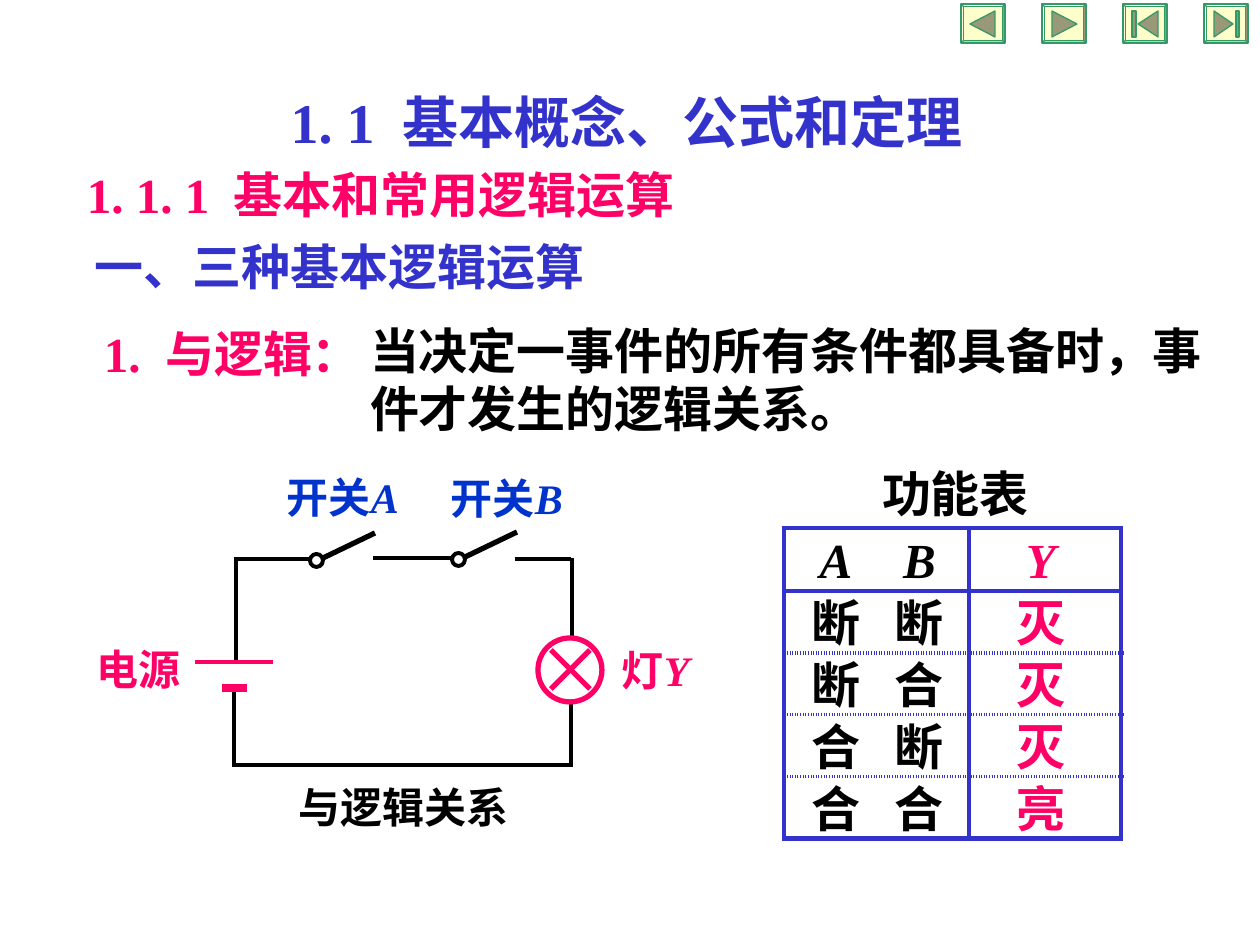
from lxml.etree import SubElement
from pptx import Presentation
from pptx.dml.color import RGBColor
from pptx.enum.shapes import MSO_CONNECTOR, MSO_SHAPE
from pptx.enum.text import MSO_ANCHOR, MSO_AUTO_SIZE, PP_ALIGN
from pptx.oxml.ns import qn
from pptx.util import Emu, Pt

SCALE = 914400 / 126
LATIN, CJK = "Times New Roman", "Noto Sans CJK SC"
BLACK, BLUE, PINK, LABEL = "000000", "3333CC", "FF0066", "0033CC"
CREAM, GREEN, OLIVE = "FFFFCC", "339966", "99997A"


def px(value):
    return Emu(round(value * SCALE))


def rgb(value):
    return RGBColor.from_string(value)


class LogicSlide:
    """Draws the elements of one slide in a shared style."""

    def __init__(self, prs):
        self.s = prs.slides.add_slide(prs.slide_layouts[6])

    def run(self, p, text, size, color, font=LATIN, italic=False):
        r = p.add_run()
        r.text = text
        for name, value in dict(size=Pt(size), bold=True, italic=italic, name=font).items():
            setattr(r.font, name, value)
        r.font.color.rgb = rgb(color)
        rpr = r._r.get_or_add_rPr()
        SubElement(rpr, qn("a:ea")).set("typeface", CJK)
        if text == " ":
            rpr.set("spc", str(size * 25))

    def text(self, box, parts, size, color, inset=(13, 6), font=LATIN, **para):
        tf = self.s.shapes.add_textbox(*map(px, box)).text_frame
        dx, dy = map(px, inset)
        frame = dict(margin_left=dx, margin_right=dx, margin_top=dy, margin_bottom=dy,
                     word_wrap=True, auto_size=MSO_AUTO_SIZE.SHAPE_TO_FIT_TEXT)
        for name, value in frame.items():
            setattr(tf, name, value)
        p = tf.paragraphs[0]
        for name, value in para.items():
            setattr(p, name, value)
        for part in parts:
            latin_letter = part in ("A", "B", "Y")
            self.run(p, part, size, color, LATIN if latin_letter else font, latin_letter)

    def line(self, x1, y1, x2, y2, color=BLACK, width=2.25):
        c = self.s.shapes.add_connector(MSO_CONNECTOR.STRAIGHT, *map(px, (x1, y1, x2, y2)))
        c.line.color.rgb = rgb(color)
        c.line.width = Pt(width)
        SubElement(c._element.spPr, qn("a:effectLst"))

    def paint(self, sp, line, width, fill=None):
        sp.shadow.inherit = False
        if fill:
            sp.fill.solid()
            sp.fill.fore_color.rgb = rgb(fill)
        else:
            sp.fill.background()
        sp.line.color.rgb = rgb(line)
        sp.line.width = Pt(width)

    def circle(self, x, y, size, color, width):
        sp = self.s.shapes.add_shape(MSO_SHAPE.OVAL, *map(px, (x, y, size, size)))
        self.paint(sp, color, width)

    def button(self, x, y, icons):
        sp = self.s.shapes.add_shape(MSO_SHAPE.BEVEL, *map(px, (x, y, 44, 39)))
        sp.adjustments[0] = 0.06
        self.paint(sp, GREEN, 0.75, CREAM)
        for points in icons:
            start, *rest = [(x + dx, y + dy) for dx, dy in points]
            fb = self.s.shapes.build_freeform(*start, scale=SCALE)
            fb.add_line_segments(rest, close=True)
            self.paint(fb.convert_to_shape(), GREEN, 0.75, OLIVE)

    def border(self, cell, side, width, dash="solid"):
        ln = SubElement(cell._tc.get_or_add_tcPr(), qn("a:ln" + side), w=str(Pt(width)))
        if not width:
            SubElement(ln, qn("a:noFill"))
            return
        SubElement(SubElement(ln, qn("a:solidFill")), qn("a:srgbClr"), val=BLUE)
        SubElement(ln, qn("a:prstDash"), val=dash)

    def table(self, x, y, widths, row_height, insets, rows):
        frame = self.s.shapes.add_table(
            len(rows), len(widths), *map(px, (x, y, sum(widths), row_height * len(rows))))
        table = frame.table
        table.first_row = table.horz_banding = False
        for col, width in zip(table.columns, widths):
            col.width = px(width)
        for i, row in enumerate(rows):
            table.rows[i].height = px(row_height)
            top, bottom, spacing = (0, 8, 0.9) if i else (4, 0, 1.0)
            for j, text in enumerate(row):
                cell = table.cell(i, j)
                layout = dict(margin_left=0, margin_right=px(insets[j]), margin_top=px(top),
                              margin_bottom=px(bottom), vertical_anchor=MSO_ANCHOR.MIDDLE)
                for name, value in layout.items():
                    setattr(cell, name, value)
                p = cell.text_frame.paragraphs[0]
                p.alignment = PP_ALIGN.CENTER
                p.line_spacing = spacing
                self.run(p, text, 28, PINK if j == 2 else BLACK, italic=i == 0)
                self.border(cell, "L", (3, 0, 2.25)[j])
                self.border(cell, "R", (0, 2.25, 3)[j])
                for side, edge in (("T", i), ("B", i + 1)):
                    if edge in (0, len(rows)):
                        self.border(cell, side, 3)
                    else:
                        self.border(cell, side, 2.25, "solid" if edge == 1 else "sysDot")
                cell.fill.background()


def main():
    prs = Presentation()
    prs.slide_width, prs.slide_height = px(1260), px(945)
    s = LogicSlide(prs)

    s.text((200, 48, 854, 113), ["1. 1", " ", "基本概念、公式和定理"], 32, BLUE,
           alignment=PP_ALIGN.CENTER, line_spacing=1.5)
    s.text((74, 158, 854, 72), ["1. 1. 1", " ", "基本和常用逻辑运算"], 28, PINK)
    s.text((82, 230, 660, 72), ["一、三种基本逻辑运算"], 28, BLUE)
    s.text((91, 318, 335, 72), ["1.", " ", "与逻辑："], 28, PINK)
    s.text((357, 314, 877, 131), ["当决定一事件的所有条件都具备时，事件才发生的逻辑关系。"],
           28, BLACK, font=CJK)

    wires = [(572, 638, 572, 558), (571, 559, 515, 559), (311, 559, 234, 559),
             (236, 558, 236, 662), (234, 688, 234, 767), (234, 765, 570, 765),
             (571, 767, 571, 703), (373, 558, 454, 558)]
    for wire in wires:
        s.line(*wire)
    s.line(195, 662, 273, 662, PINK)
    s.line(222, 688, 247, 688, PINK, 4.5)
    for name, label_x, label_y, x, y in (("A", 287, 472, 310, 554), ("B", 451, 473, 452, 553)):
        s.line(x + 13, y + 4, x + 65, y - 21, width=3)
        s.circle(x, y, 13, BLACK, 2.25)
        s.text((label_x, label_y, 150, 50), ["开关", name], 24, LABEL, (0, 0), CJK)
    s.circle(538, 638, 64, PINK, 3)
    s.line(551, 650, 590, 689, PINK, 3)
    s.line(590, 650, 551, 689, PINK, 3)
    s.text((622, 645, 76, 101), ["灯", "Y"], 24, PINK, (0, 0), CJK)
    s.text((84, 638, 125, 63), ["电源"], 24, PINK)
    s.text((299, 782, 431, 50), ["与逻辑关系"], 24, BLACK, (0, 0), CJK)

    s.text((869, 457, 210, 72), ["功能表"], 28, BLACK)
    s.table(784, 528, (104, 81, 152), 62, (0, 18, 8),
            ["ABY", "断断灭", "断合灭", "合断灭", "合合亮"])

    buttons = [
        [[(9, 20), (34, 7), (34, 33)]],
        [[(10, 7), (35, 20), (10, 33)]],
        [[(15, 20), (35, 7), (35, 33)], [(9, 7), (13, 7), (13, 33), (9, 33)]],
        [[(10, 7), (29, 20), (10, 33)], [(32, 7), (35, 7), (35, 33), (32, 33)]],
    ]
    for i, icons in enumerate(buttons):
        s.button(961 + 81 * i, 4, icons)

    prs.save("out.pptx")


if __name__ == "__main__":
    main()
